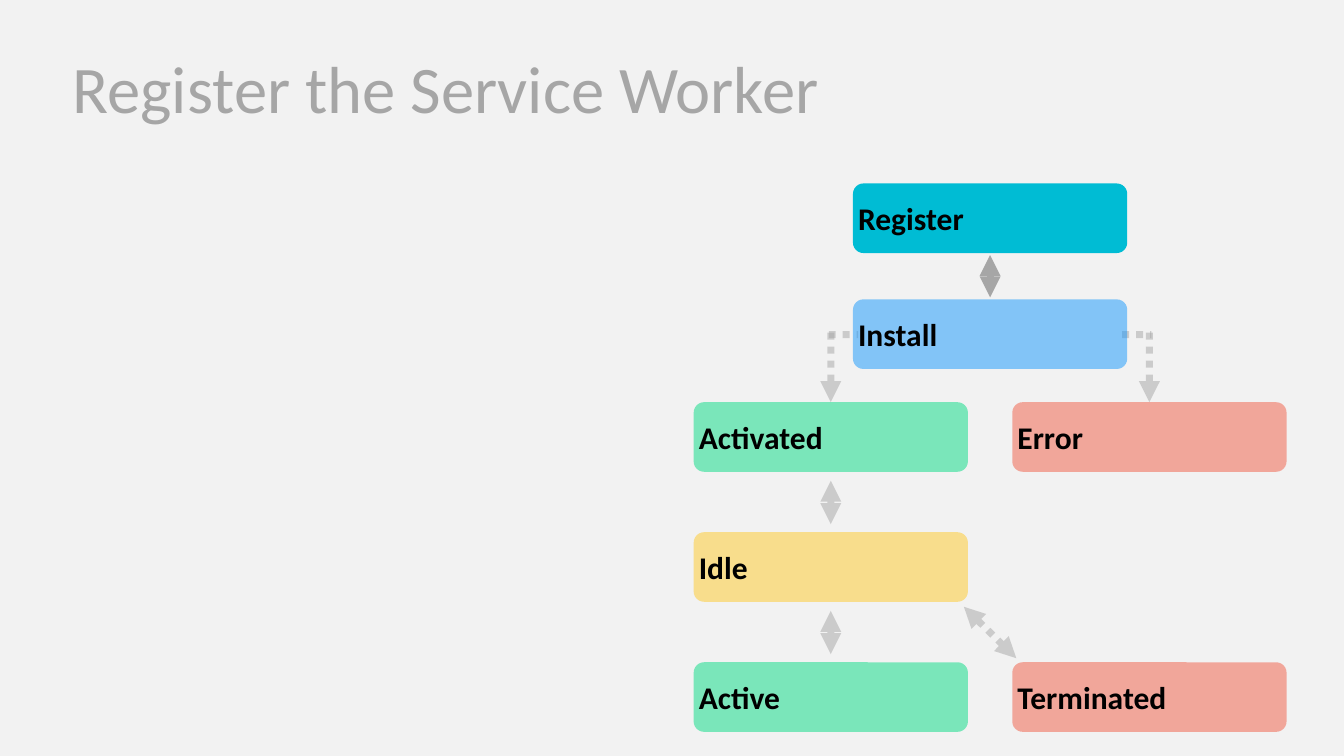
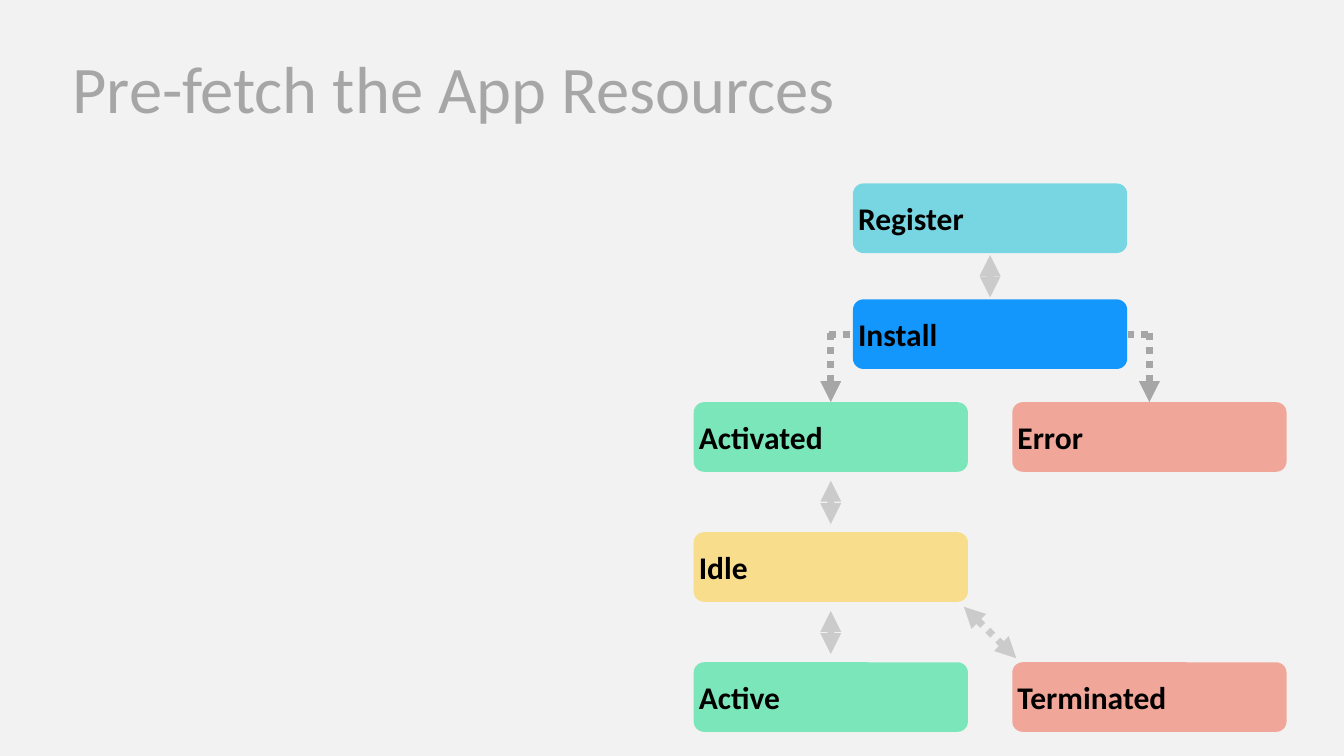
from typing import NamedTuple

from pptx import Presentation
from pptx.dml.color import RGBColor
from pptx.enum.dml import MSO_LINE
from pptx.enum.shapes import MSO_CONNECTOR, MSO_SHAPE
from pptx.enum.text import MSO_ANCHOR, MSO_AUTO_SIZE, PP_ALIGN
from pptx.oxml.ns import qn
from pptx.oxml.xmlchemy import OxmlElement
from pptx.presentation import Presentation as Deck
from pptx.slide import Slide
from pptx.text.text import TextFrame
from pptx.util import Inches, Pt

ROUNDED = MSO_SHAPE.ROUNDED_RECTANGLE
STRAIGHT = MSO_CONNECTOR.STRAIGHT
DOTTED = MSO_LINE.ROUND_DOT
LEFT = PP_ALIGN.LEFT
TOP, MIDDLE = MSO_ANCHOR.TOP, MSO_ANCHOR.MIDDLE
NO_AUTOFIT = MSO_AUTO_SIZE.NONE

PALE_GRAY = RGBColor(0xF2, 0xF2, 0xF2)
GRAY = RGBColor(0xA6, 0xA6, 0xA6)
BLACK = RGBColor(0x00, 0x00, 0x00)
CYAN = RGBColor(0x00, 0xBC, 0xD4)
BLUE = RGBColor(0x14, 0x97, 0xFC)
GREEN = RGBColor(0x03, 0xDC, 0x84)
RED = RGBColor(0xF1, 0x5B, 0x44)
YELLOW = RGBColor(0xFF, 0xCA, 0x28)

FONT = "Calibri"
TITLE_ONLY = 5
FADED_ALPHA = 50

# Diagram grid, in inches: three column centres and the box size
LEFT_COL, MID_COL, RIGHT_COL = 8.24, 9.82, 11.40
BOX_W, BOX_H = 2.72, 0.69
REGISTER_TOP, INSTALL_TOP, OUTCOME_TOP = 1.82, 2.97, 3.99
ROW_STEP = 1.29
IDLE_TOP = OUTCOME_TOP + ROW_STEP
LAST_TOP = IDLE_TOP + ROW_STEP
BRANCH_Y = 3.32
CORNER = 0.02


class State(NamedTuple):
    label: str
    center: float
    top: float
    color: RGBColor


class Link(NamedTuple):
    owner: str  # the state whose step the link belongs to
    start: tuple[float, float]
    end: tuple[float, float]
    head: bool = True
    tail: bool = True


class Step(NamedTuple):
    title: str
    current: str
    branch_reach: float  # how far the branches run in under Install


STATES = [
    State("Activated", LEFT_COL, OUTCOME_TOP, GREEN),
    State("Error", RIGHT_COL, OUTCOME_TOP, RED),
    State("Idle", LEFT_COL, IDLE_TOP, YELLOW),
    State("Active", LEFT_COL, LAST_TOP, GREEN),
    State("Terminated", RIGHT_COL, LAST_TOP, RED),
    State("Install", MID_COL, INSTALL_TOP, BLUE),
    State("Register", MID_COL, REGISTER_TOP, CYAN),
]

STEPS = [
    Step("Register the Service Worker", "Register", 0.05),
    Step("Pre-fetch the App Resources", "Install", 0.69),
]


def lifecycle_links(branch_reach: float) -> list[Link]:
    """List the arrows between states; Install branches to both outcomes."""
    install_left = MID_COL - BOX_W / 2 + branch_reach
    install_right = MID_COL + BOX_W / 2 - branch_reach
    branch_top = BRANCH_Y - CORNER
    return [
        Link("Idle", (9.56, 6.02), (10.08, 6.53)),
        Link("Install", (LEFT_COL - CORNER, BRANCH_Y), (install_left, BRANCH_Y),
             head=False, tail=False),
        Link("Install", (LEFT_COL, branch_top), (LEFT_COL, OUTCOME_TOP), head=False),
        Link("Install", (install_right, BRANCH_Y), (RIGHT_COL + CORNER, BRANCH_Y),
             head=False, tail=False),
        Link("Install", (RIGHT_COL, branch_top), (RIGHT_COL, OUTCOME_TOP), head=False),
        Link("Activated", (LEFT_COL, 4.77), (LEFT_COL, 5.20)),
        Link("Idle", (LEFT_COL, 4.77 + ROW_STEP), (LEFT_COL, 5.20 + ROW_STEP)),
        Link("Register", (MID_COL, 2.53), (MID_COL, 2.95)),
    ]


def fade(properties) -> None:
    """Make every colour in a shape's properties translucent."""
    for color in properties.iter(qn("a:srgbClr")):
        alpha = OxmlElement("a:alpha")
        alpha.set("val", str(FADED_ALPHA * 1000))
        color.append(alpha)


def format_text(frame: TextFrame, text: str, size: float, color: RGBColor,
                bold: bool, inset: float, anchor: MSO_ANCHOR) -> None:
    frame.text = text
    frame.word_wrap = True
    frame.auto_size = NO_AUTOFIT
    frame.vertical_anchor = anchor
    frame.margin_left = frame.margin_right = Inches(inset)
    frame.margin_top = frame.margin_bottom = Inches(inset)
    paragraph = frame.paragraphs[0]
    paragraph.alignment = LEFT
    paragraph.font.name = FONT
    paragraph.font.size = Pt(size)
    paragraph.font.bold = bold
    paragraph.font.color.rgb = color


def set_title(slide: Slide, text: str) -> None:
    title = slide.shapes.title
    title.left, title.top = Inches(0.69), Inches(0.53)
    title.width, title.height = Inches(11.53), Inches(0.96)
    format_text(title.text_frame, text, 47.5, GRAY, False, 0.03, TOP)
    title.text_frame.paragraphs[0].line_spacing = 0.9


def draw_link(slide: Slide, link: Link, current: bool) -> None:
    connector = slide.shapes.add_connector(
        STRAIGHT, *(Inches(value) for value in link.start + link.end))
    connector.line.color.rgb = GRAY
    connector.line.width = Pt(5)
    connector.line.dash_style = DOTTED
    properties = connector._element.spPr
    outline = properties.find(qn("a:ln"))
    for tag, wanted in (("a:headEnd", link.head), ("a:tailEnd", link.tail)):
        if wanted:
            arrowhead = OxmlElement(tag)
            arrowhead.set("type", "triangle")
            outline.append(arrowhead)
    properties.append(OxmlElement("a:effectLst"))
    if not current:
        fade(properties)


def draw_state(slide: Slide, state: State, current: bool) -> None:
    box = slide.shapes.add_shape(
        ROUNDED, Inches(state.center - BOX_W / 2), Inches(state.top),
        Inches(BOX_W), Inches(BOX_H))
    box.adjustments[0] = 0.15
    box.shadow.inherit = False
    box.fill.solid()
    box.fill.fore_color.rgb = state.color
    box.line.fill.background()
    if not current:
        fade(box._element.spPr)
    format_text(box.text_frame, state.label, 22.5, BLACK, True, 0.02, MIDDLE)


def build_step(deck: Deck, step: Step) -> None:
    slide = deck.slides.add_slide(deck.slide_layouts[TITLE_ONLY])
    set_title(slide, step.title)
    # Links go under the boxes
    for link in lifecycle_links(step.branch_reach):
        draw_link(slide, link, link.owner == step.current)
    for state in STATES:
        draw_state(slide, state, state.label == step.current)


def main() -> None:
    deck = Presentation()
    deck.slide_width, deck.slide_height = Inches(13.33), Inches(7.5)
    # Shared background
    background = deck.slide_master.background.fill
    background.solid()
    background.fore_color.rgb = PALE_GRAY
    for step in STEPS:
        build_step(deck, step)
    deck.save("out.pptx")


if __name__ == "__main__":
    main()
